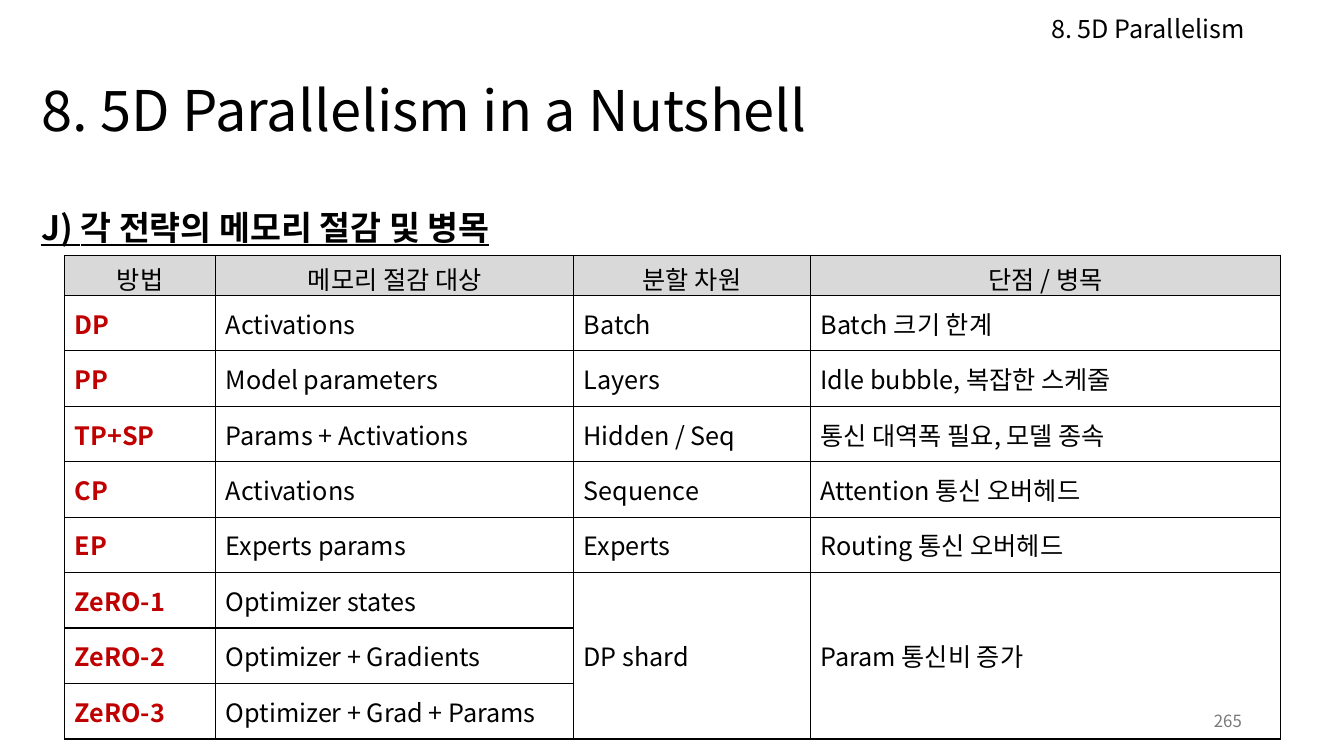
from lxml.etree import SubElement
from pptx import Presentation
from pptx.dml.color import RGBColor
from pptx.enum.text import MSO_ANCHOR as ANCHOR, MSO_AUTO_SIZE as AUTO, PP_ALIGN as ALIGN
from pptx.oxml.ns import qn
from pptx.util import Pt

FONT = "Noto Sans CJK KR"
COLORS = {"black": "000000", "white": "FFFFFF", "header": "D9D9D9",
          "method": "C00000", "page": "797979"}
COLUMN_WIDTHS = [108, 255.6, 169.2, 336]
HEADER_HEIGHT, ROW_HEIGHT = 28.8, 39.6
HEADERS = ["방법", "메모리 절감 대상", "분할 차원", "단점 / 병목"]
STRATEGIES = [
    ["DP", "Activations", "Batch", "Batch 크기 한계"],
    ["PP", "Model parameters", "Layers", "Idle bubble, 복잡한 스케줄"],
    ["TP+SP", "Params + Activations", "Hidden / Seq", "통신 대역폭 필요, 모델 종속"],
    ["CP", "Activations", "Sequence", "Attention 통신 오버헤드"],
    ["EP", "Experts params", "Experts", "Routing 통신 오버헤드"],
    ["ZeRO-1", "Optimizer states", "DP shard", "Param 통신비 증가"],
    ["ZeRO-2", "Optimizer + Gradients"],
    ["ZeRO-3", "Optimizer + Grad + Params"],
]
ZERO_FIRST, ZERO_LAST = 6, 8


def rgb(name):
    return RGBColor.from_string(COLORS[name])


def write(tf, text, size, color="black", bold=False, align=ALIGN.LEFT, spacing=None):
    p = tf.paragraphs[0]
    p.text = text
    p.alignment = align
    if spacing:
        p.line_spacing = spacing
    font = p.font
    font.name, font.size, font.bold = FONT, Pt(size), bold
    font.color.rgb = rgb(color)
    # Korean glyphs take the East Asian typeface
    latin = p._p.pPr.find(qn("a:defRPr")).find(qn("a:latin"))
    ea = SubElement(latin.getparent(), qn("a:ea"), typeface=FONT)
    latin.addnext(ea)
    return p


def add_label(slide, box, text, size, anchor=ANCHOR.TOP, **style):
    tf = slide.shapes.add_textbox(*map(Pt, box)).text_frame
    tf.word_wrap = True
    tf.vertical_anchor = anchor
    return write(tf, text, size, **style)


def add_title(slide, box, text):
    title = slide.shapes.title
    title.left, title.top, title.width, title.height = map(Pt, box)
    tf = title.text_frame
    tf.auto_size = AUTO.NONE
    tf.vertical_anchor = ANCHOR.MIDDLE
    write(tf, text, 40, spacing=0.9)


def add_borders(cell):
    tc_pr = cell._tc.get_or_add_tcPr()
    for side in ("lnL", "lnR", "lnT", "lnB"):
        line = SubElement(tc_pr, qn(f"a:{side}"), w=str(Pt(1)))
        fill = SubElement(line, qn("a:solidFill"))
        SubElement(fill, qn("a:srgbClr"), val=COLORS["black"])


def add_strategy_table(slide, left, top):
    rows = [HEADERS] + STRATEGIES
    heights = [HEADER_HEIGHT] + [ROW_HEIGHT] * len(STRATEGIES)
    table = slide.shapes.add_table(
        len(rows), len(HEADERS), Pt(left), Pt(top),
        Pt(sum(COLUMN_WIDTHS)), Pt(sum(heights))).table
    table.first_row = table.horz_banding = False
    for column, width in zip(table.columns, COLUMN_WIDTHS):
        column.width = Pt(width)
    for row, height in zip(table.rows, heights):
        row.height = Pt(height)

    for r, texts in enumerate(rows):
        for c in range(len(HEADERS)):
            cell = table.cell(r, c)
            add_borders(cell)
            cell.fill.solid()
            cell.fill.fore_color.rgb = rgb("white" if r else "header")
            cell.vertical_anchor = ANCHOR.MIDDLE
            if c < len(texts):
                is_method = r > 0 and c == 0
                write(cell.text_frame, texts[c], 18,
                      color="method" if is_method else "black", bold=is_method,
                      align=ALIGN.LEFT if r else ALIGN.CENTER)

    # The ZeRO stages share one dimension and one bottleneck
    for c in (2, 3):
        table.cell(ZERO_FIRST, c).merge(table.cell(ZERO_LAST, c))


def add_nutshell_slide(prs):
    slide = prs.slides.add_slide(prs.slide_layouts[5])
    # Headings
    add_title(slide, (22.3, 49, 937, 64), "8. 5D Parallelism in a Nutshell")
    add_label(slide, (743.8, 5.8, 195.8, 28.8), "8. 5D Parallelism", 18)
    heading = add_label(slide, (22.3, 126.7, 930, 64), "J) 각 전략의 메모리 절감 및 병목",
                        24, bold=True, spacing=1.6)
    heading.font.underline = True
    # Comparison and page number
    add_strategy_table(slide, 46.1, 182.2)
    add_label(slide, (678.2, 500.4, 216, 28.8), "265", 12, anchor=ANCHOR.MIDDLE,
              color="page", align=ALIGN.RIGHT)


def main():
    prs = Presentation()
    prs.slide_width, prs.slide_height = Pt(960), Pt(540)
    add_nutshell_slide(prs)
    prs.save("out.pptx")


if __name__ == "__main__":
    main()
